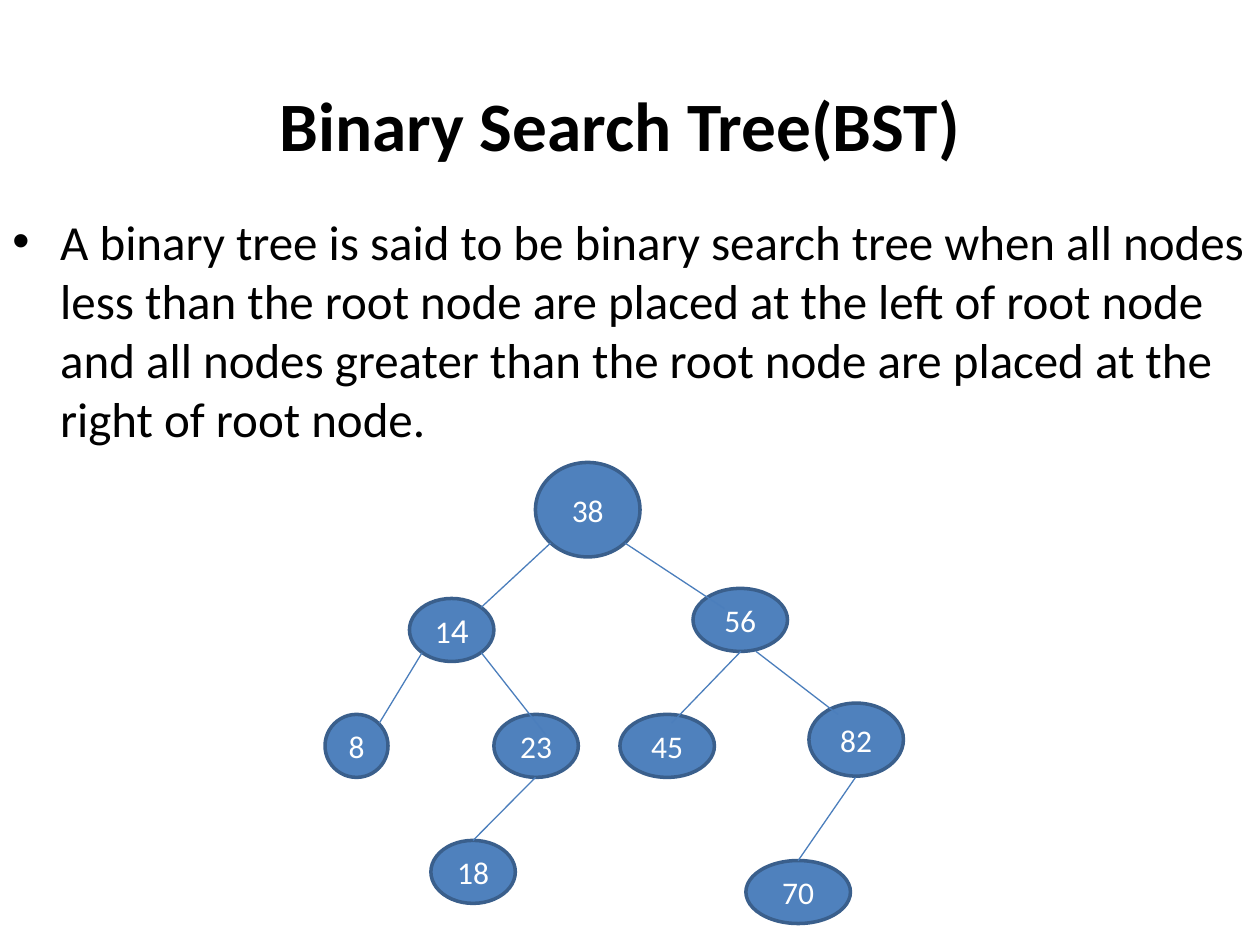
"""Build a slide that explains the binary search tree."""
from dataclasses import dataclass

import pptx
import pptx.dml.color
import pptx.enum.shapes
import pptx.enum.text
import pptx.oxml.ns
import pptx.slide
import pptx.text.text
import pptx.util
from lxml import etree
from pptx.util import Inches


@dataclass(frozen=True)
class Theme:
    font: str = "Calibri"
    ink: str = "000000"
    light: str = "FFFFFF"
    fill: str = "4F81BD"
    rim: str = "3A5F8C"
    edge: str = "4B7EBC"
    head: float = 39.6
    body: float = 28
    label: float = 18
    large: float = 20


@dataclass(frozen=True)
class Node:
    digits: tuple[str, ...]
    left: float
    top: float
    width: float
    height: float = 0.5


@dataclass(frozen=True)
class Edge:
    start: tuple[float, float]
    end: tuple[float, float]
    child: str = ""


THEME = Theme()
TITLE = "Binary Search Tree(BST)"
BODY = (
    "A binary tree is said to be binary search tree when all nodes less than "
    "the root node are placed at the left of root node and all nodes greater "
    "than the root node are placed at the right of root node."
)
NODES = (
    Node(("38",), 4.25, 3.67, 0.83, 0.75),
    Node(("1", "4"), 3.25, 4.75, 0.67),
    Node(("56",), 5.5, 4.67, 0.75),
    Node(("8",), 2.58, 5.67, 0.5),
    Node(("23",), 3.92, 5.67, 0.67),
    Node(("45",), 4.92, 5.67, 0.75),
    Node(("82",), 6.42, 5.58, 0.75, 0.58),
    Node(("70",), 5.92, 6.83, 0.83),
    Node(("18",), 3.42, 6.67, 0.67),
)
EDGES = (
    Edge((4.37, 4.31), (3.82, 4.82)),
    Edge((4.96, 4.31), (5.75, 4.83)),
    Edge((3.35, 5.18), (3.01, 5.74)),
    Edge((3.82, 5.18), (4.33, 5.83)),
    Edge((5.88, 5.17), (5.33, 5.74)),
    Edge((6, 5.17), (6.65, 5.67)),
    Edge((4.25, 6.17), (3.75, 6.67), "18"),
    Edge((6.79, 6.17), (6.33, 6.83), "70"),
)


def paint(text: str) -> pptx.dml.color.RGBColor:
    """Turn a hex string into a colour."""
    return pptx.dml.color.RGBColor.from_string(text)


def style(font: pptx.text.text.Font, size: float, tint: str, bold: bool = False) -> None:
    """Set the face, size, colour and weight of a font."""
    font.name = THEME.font
    font.size = pptx.util.Pt(size)
    font.bold = bold
    font.color.rgb = paint(tint)


def add_title(slide: pptx.slide.Slide) -> None:
    """Place and fill the title."""
    title = slide.shapes.title
    title.left, title.top = Inches(0.42), Inches(0.67)
    title.width, title.height = Inches(9), Inches(0.62)
    frame = title.text_frame
    frame.text = TITLE
    frame.vertical_anchor = pptx.enum.text.MSO_ANCHOR.MIDDLE
    para = frame.paragraphs[0]
    para.alignment = pptx.enum.text.PP_ALIGN.CENTER
    style(para.runs[0].font, THEME.head, THEME.ink, True)


def add_body(slide: pptx.slide.Slide) -> None:
    """Add the bulleted definition."""
    box = slide.shapes.add_textbox(0, Inches(1.63), Inches(10), Inches(2))
    frame = box.text_frame
    frame.word_wrap = True
    frame.text = BODY
    para = frame.paragraphs[0]
    props = para._p.get_or_add_pPr()
    props.set("marL", str(Inches(0.38)))
    props.set("indent", str(Inches(-0.38)))
    face = etree.SubElement(props, pptx.oxml.ns.qn("a:buFont"))
    face.set("typeface", "Arial")
    mark = etree.SubElement(props, pptx.oxml.ns.qn("a:buChar"))
    mark.set("char", "•")
    style(para.runs[0].font, THEME.body, THEME.ink)


def add_node(slide: pptx.slide.Slide, node: Node):
    """Draw one tree node and return its shape."""
    shape = slide.shapes.add_shape(
        pptx.enum.shapes.MSO_SHAPE.OVAL,
        Inches(node.left), Inches(node.top), Inches(node.width), Inches(node.height),
    )
    shape.shadow.inherit = False
    shape.fill.solid()
    shape.fill.fore_color.rgb = paint(THEME.fill)
    shape.line.color.rgb = paint(THEME.rim)
    shape.line.width = pptx.util.Pt(2)
    frame = shape.text_frame
    frame.word_wrap = False
    frame.vertical_anchor = pptx.enum.text.MSO_ANCHOR.MIDDLE
    para = frame.paragraphs[0]
    para.alignment = pptx.enum.text.PP_ALIGN.CENTER
    for digit, size in zip(node.digits, (THEME.label, THEME.large)):
        run = para.add_run()
        run.text = digit
        style(run.font, size, THEME.light)
    return shape


def add_edge(slide: pptx.slide.Slide, edge: Edge, ovals: dict) -> None:
    """Draw one branch, joined to the top of its child where one is named."""
    line = slide.shapes.add_connector(
        pptx.enum.shapes.MSO_CONNECTOR.STRAIGHT,
        *(Inches(value) for value in edge.start + edge.end),
    )
    if edge.child:
        line.end_connect(ovals[edge.child], 0)
    line.line.color.rgb = paint(THEME.edge)
    line.line.width = pptx.util.Pt(0.75)
    etree.SubElement(line._element.spPr, pptx.oxml.ns.qn("a:effectLst"))


def main() -> None:
    """Build and save the slide."""
    deck = pptx.Presentation()
    deck.slide_width, deck.slide_height = Inches(10), Inches(7.5)
    slide = deck.slides.add_slide(deck.slide_layouts[5])
    add_title(slide)
    add_body(slide)
    ovals = {"".join(node.digits): add_node(slide, node) for node in NODES}
    for edge in EDGES:
        add_edge(slide, edge, ovals)
    deck.save("out.pptx")


if __name__ == "__main__":
    main()
